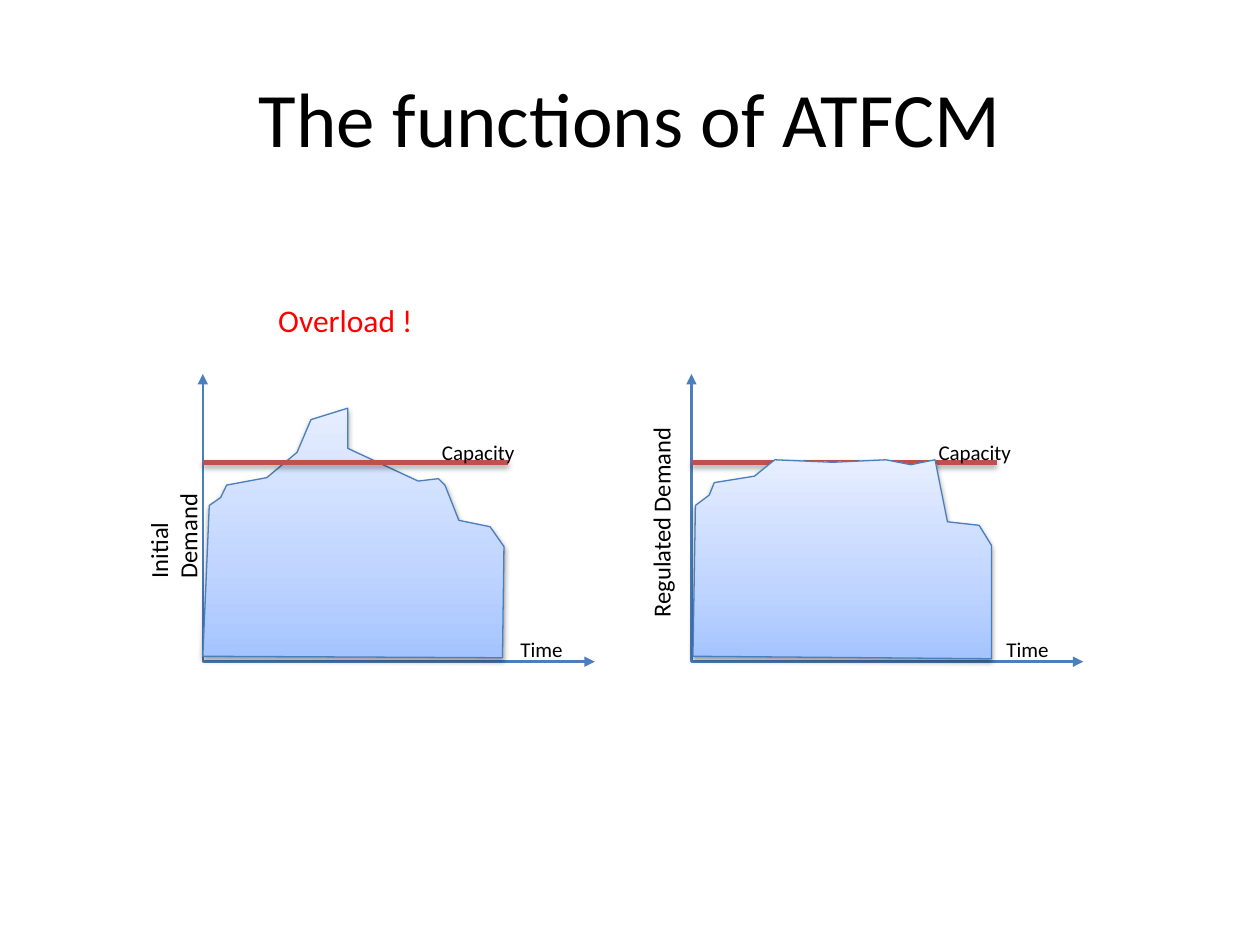
"""Build the slide comparing initial and regulated demand against capacity."""
from pptx import Presentation
from pptx.dml.color import RGBColor as RGB
from pptx.enum.shapes import MSO_CONNECTOR as CONN
from pptx.enum.text import MSO_ANCHOR as ANCHOR, MSO_AUTO_SIZE as AUTO, PP_ALIGN as ALIGN
from pptx.oxml import parse_xml
from pptx.oxml.ns import nsdecls
from pptx.util import Cm, Pt

COLORS = {"text": "000000", "alert": "FF0000", "axis": "4B7EBC", "capacity": "C0504D",
          "bottom": "A4C4FF", "middle": "BFD4FF", "top": "E6EEFF"}
NS = nsdecls("a")

prs = Presentation()
prs.slide_width, prs.slide_height = Cm(25.4), Cm(19.05)
s = prs.slides.add_slide(prs.slide_layouts[5])


def format_text(tf, text, size, color="text"):
    tf.text = text
    font = tf.paragraphs[0].runs[0].font
    font.name, font.size = "Calibri", Pt(size)
    font.color.rgb = RGB.from_string(COLORS[color])


def style_outline(sp, color, width, alpha=None):
    sp.line.color.rgb = RGB.from_string(COLORS[color])
    sp.line.width = Pt(width)
    shadow = "" if alpha is None else (
        '<a:outerShdw blurRad="40000" dist="21500" dir="5400000" rotWithShape="0">'
        f'<a:srgbClr val="000000"><a:alpha val="{alpha * 1000}"/></a:srgbClr></a:outerShdw>')
    sp._element.spPr.append(parse_xml(f"<a:effectLst {NS}>{shadow}</a:effectLst>"))


title = s.shapes.title
title.left, title.top, title.width, title.height = Cm(1.27), Cm(0.76), Cm(22.86), Cm(3.18)
format_text(title.text_frame, "The functions of ATFCM", 44)
title.text_frame.vertical_anchor = ANCHOR.MIDDLE
title.text_frame.paragraphs[0].alignment = ALIGN.CENTER

initial_demand = [
    (4.09, 13.23), (4.22, 10.19), (4.45, 10.03), (4.57, 9.78), (5.38, 9.63), (5.99, 9.12),
    (6.27, 8.46), (7.01, 8.23), (7.01, 9.04), (8.43, 9.7), (8.84, 9.65), (8.97, 9.78),
    (9.25, 10.49), (9.88, 10.62), (10.16, 11.02), (10.13, 13.26)]
regulated_demand = [
    (13.97, 13.23), (14.02, 10.19), (14.3, 9.98), (14.4, 9.73), (15.21, 9.6), (15.62, 9.27),
    (16.79, 9.32), (17.86, 9.27), (18.36, 9.37), (18.85, 9.27), (19.1, 10.52),
    (19.74, 10.59), (19.99, 11), (19.99, 13.28)]

for left, demand, area_first in ((4.09, initial_demand, True), (13.94, regulated_demand, False)):
    axes = [(left, 7.54), (left, 13.34), (left + 7.9, 13.34)]
    parts = ["axes", "area", "capacity"] if area_first else ["axes", "capacity", "area"]
    for part in parts:
        if part == "capacity":
            sp = s.shapes.add_connector(CONN.STRAIGHT, Cm(left), Cm(9.32), Cm(left + 6.15), Cm(9.32))
            style_outline(sp, "capacity", 3, 35)
            continue
        points = [(Cm(x), Cm(y)) for x, y in (axes if part == "axes" else demand)]
        builder = s.shapes.build_freeform(*points[0], scale=1.0)
        builder.add_line_segments(points[1:], close=part == "area")
        sp = builder.convert_to_shape()
        if part == "axes":
            sp.fill.background()
            style_outline(sp, "axis", 1.5)
            for end in ("headEnd", "tailEnd"):
                sp.line._get_or_add_ln().append(parse_xml(f'<a:{end} {NS} type="triangle"/>'))
        else:
            style_outline(sp, "axis", 0.75, 38)
            stops = "".join(f'<a:gs pos="{pos * 1000}"><a:srgbClr val="{COLORS[key]}"/></a:gs>'
                            for pos, key in ((0, "bottom"), (35, "middle"), (100, "top")))
            sp.line._get_or_add_ln().addprevious(parse_xml(
                f'<a:gradFill {NS} rotWithShape="1"><a:gsLst>{stops}</a:gsLst>'
                '<a:lin ang="16200000" scaled="0"/></a:gradFill>'))

labels = [
    ("Overload !", 5.36, 5.94, 3.76, 1.02, 18, "alert", False),
    ("Capacity", 8.66, 8.74, 2.06, 0.76, 12, "text", False),
    ("Time", 10.24, 12.7, 1.78, 0.76, 12, "text", False),
    ("Initial Demand", 2.77, 8.53, 1.12, 3.38, 14, "text", True),
    ("Capacity", 18.67, 8.74, 1.98, 0.76, 12, "text", False),
    ("Time", 20.04, 12.7, 1.78, 0.76, 12, "text", False),
    ("Regulated Demand", 12.9, 8.33, 1.12, 4.37, 14, "text", True)]
for text, x, y, w, h, size, color, vertical in labels:
    tf = s.shapes.add_textbox(Cm(x), Cm(y), Cm(w), Cm(h)).text_frame
    tf.word_wrap = True
    tf.auto_size = AUTO.SHAPE_TO_FIT_TEXT
    if vertical:
        tf._txBody.bodyPr.set("vert", "vert270")
    format_text(tf, text, size, color)

prs.save("out.pptx")
